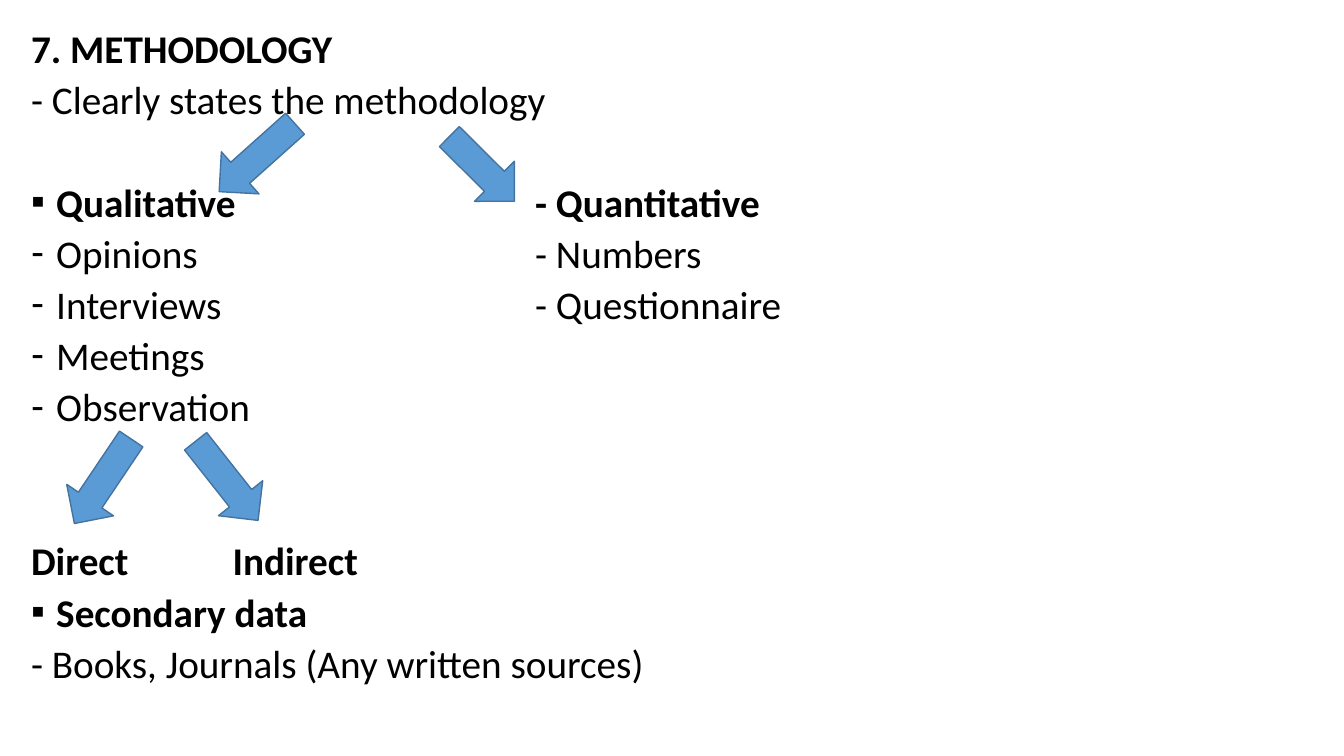
from lxml.etree import SubElement
from pptx import Presentation
from pptx.dml.color import RGBColor
from pptx.enum.shapes import MSO_SHAPE
from pptx.oxml.ns import qn
from pptx.util import Inches, Pt

BLACK = RGBColor(0x00, 0x00, 0x00)
ARROW_BLUE = RGBColor(0x5B, 0x9B, 0xD5)
ARROW_EDGE = RGBColor(0x43, 0x73, 0x9E)

LINE_GAP = 9.6    # points before each line
LINE_STEP = 36.9  # points from one line to the next
HANGING = Inches(0.25)
QUANTITATIVE_TAB = Inches(5)
INDIRECT_TAB = Inches(2)

# text, bold, bullet, tab stop, free lines left above for arrows
LINES = [
    ("7. METHODOLOGY", True, None, None, 0),
    ("- Clearly states the methodology", False, None, None, 0),
    ("Qualitative\t- Quantitative", True, "▪", QUANTITATIVE_TAB, 1),
    ("Opinions\t- Numbers", False, "-", QUANTITATIVE_TAB, 0),
    ("Interviews\t- Questionnaire", False, "-", QUANTITATIVE_TAB, 0),
    ("Meetings", False, "-", None, 0),
    ("Observation", False, "-", None, 0),
    ("Direct\tIndirect", True, None, INDIRECT_TAB, 2),
    ("Secondary data", True, "▪", None, 0),
    ("- Books, Journals (Any written sources)", False, None, None, 0),
]

# left, top, height, rotation
ARROWS = [
    (0.74, 4.27, 1.01, 33.9),
    (1.97, 4.27, 1, 321.7),
    (2.27, 1.06, 1.01, 48.2),
    (4.5, 1.22, 0.91, 314.8),
]


def format_paragraph(para, bullet, tab_stop):
    """Set the hanging bullet and the tab stop of a paragraph."""
    properties = para._p.get_or_add_pPr()
    if bullet:
        properties.set("marL", str(HANGING))
        properties.set("indent", str(-HANGING))
        SubElement(properties, qn("a:buFont"), typeface="Arial")
        SubElement(properties, qn("a:buChar"), char=bullet)
    if tab_stop:
        tabs = SubElement(properties, qn("a:tabLst"))
        SubElement(tabs, qn("a:tab"), pos=str(tab_stop), algn="l")


def add_line(para, text, bold, bullet, tab_stop, free_lines):
    para.line_spacing = 0.8
    para.space_before = Pt(LINE_GAP + free_lines * LINE_STEP)
    format_paragraph(para, bullet, tab_stop)
    span = para.add_run()
    span.text = text
    span.font.name = "Calibri"
    span.font.size = Pt(28)
    span.font.bold = bold
    span.font.color.rgb = BLACK


def add_outline(page):
    box = page.shapes.add_textbox(Inches(0.21), Inches(0.28), Inches(12.76), Inches(7.1))
    frame = box.text_frame
    frame.word_wrap = True
    for index, line in enumerate(LINES):
        para = frame.add_paragraph() if index else frame.paragraphs[0]
        add_line(para, *line)


def add_arrow(page, left, top, height, rotation):
    arrow = page.shapes.add_shape(
        MSO_SHAPE.DOWN_ARROW, Inches(left), Inches(top), Inches(0.56), Inches(height))
    arrow.rotation = rotation
    arrow.shadow.inherit = False
    arrow.fill.solid()
    arrow.fill.fore_color.rgb = ARROW_BLUE
    arrow.line.color.rgb = ARROW_EDGE
    arrow.line.width = Pt(1)


def main():
    deck = Presentation()
    deck.slide_width = Inches(13.33)
    deck.slide_height = Inches(7.5)
    page = deck.slides.add_slide(deck.slide_layouts[6])

    # Methodology text
    add_outline(page)

    # Arrows to the branches
    for arrow in ARROWS:
        add_arrow(page, *arrow)

    deck.save("out.pptx")


if __name__ == "__main__":
    main()
